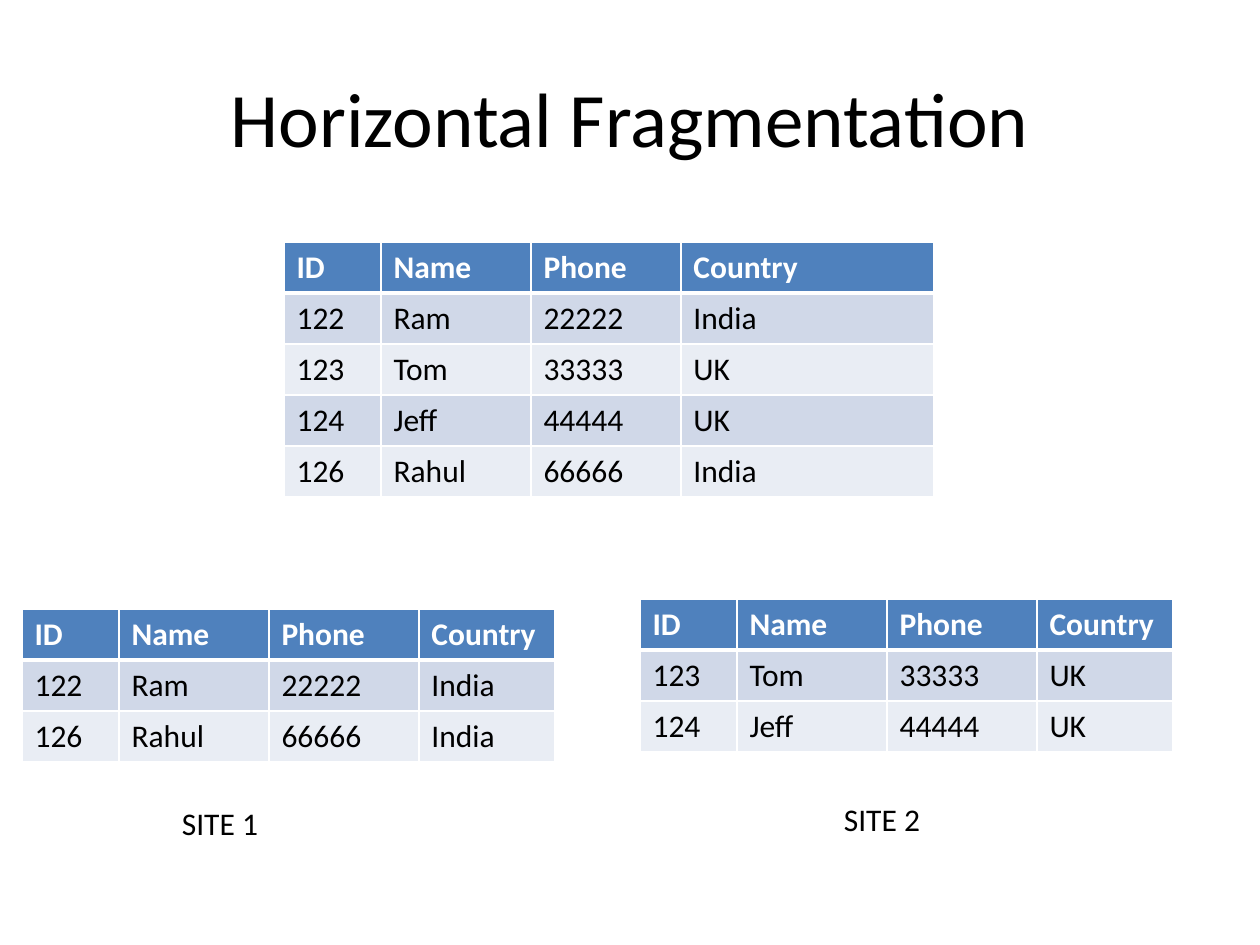
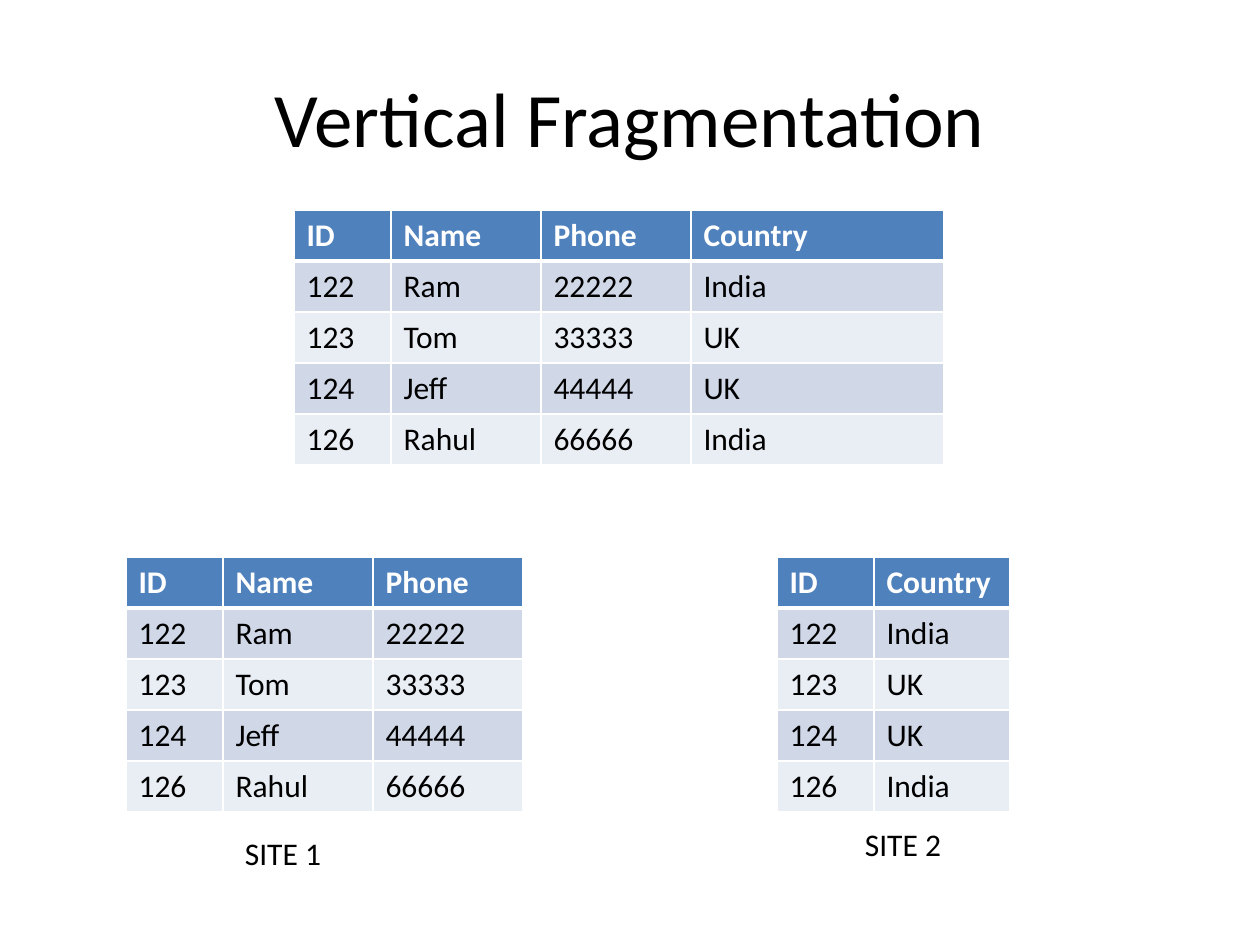
from lxml import etree
from pptx import Presentation
from pptx.dml.color import RGBColor
from pptx.enum.text import MSO_ANCHOR, PP_ALIGN
from pptx.oxml.ns import qn
from pptx.util import Emu, Pt

CENTER = PP_ALIGN.CENTER
LEFT = PP_ALIGN.LEFT
TOP = MSO_ANCHOR.TOP
MIDDLE = MSO_ANCHOR.MIDDLE

# Lengths are in px, 126 to the inch
SCALE = 914400 / 126
COLOURS = {
    "text": "000000",
    "header": "4F81BD",
    "header text": "FFFFFF",
    "odd row": "D0D8E8",
    "even row": "E9EDF4",
    "border": "FFFFFF",
}
TITLE_FORMAT = {"name": "Calibri", "size": Pt(44), "bold": False}
BODY_FORMAT = {"name": "Calibri", "size": Pt(18), "bold": False}
HEADER_FORMAT = {**BODY_FORMAT, "bold": True}

# Shared geometry
TITLE_AREA = (63, 38, 1134, 158)
LABEL_SIZE = (294, 50)
ROW_HEIGHT = 51
COLUMN_WIDTHS = {"ID": 97, "Name": 150, "Phone": 150, "Country": 136}
WIDE_COUNTRY = 253
THIN, THICK = Pt(1), Pt(3)

# The relation that both slides split up
FIELDS = ["ID", "Name", "Phone", "Country"]
PEOPLE = [
    dict(zip(FIELDS, values))
    for values in (
        ("122", "Ram", "22222", "India"),
        ("123", "Tom", "33333", "UK"),
        ("124", "Jeff", "44444", "UK"),
        ("126", "Rahul", "66666", "India"),
    )
]
IN_INDIA = [person for person in PEOPLE if person["Country"] == "India"]
IN_UK = [person for person in PEOPLE if person["Country"] == "UK"]

# Each fragment: table position, fields, records, label position
SLIDES = [
    {
        "title": "Horizontal Fragmentation",
        "relation": (284, 242),
        "fragments": [
            ((22, 609), FIELDS, IN_INDIA, (73, 798)),
            ((640, 599), FIELDS, IN_UK, (735, 794)),
        ],
    },
    {
        "title": "Vertical Fragmentation",
        "relation": (294, 210),
        "fragments": [
            ((126, 557), ["ID", "Name", "Phone"], PEOPLE, (136, 828)),
            ((777, 557), ["ID", "Country"], PEOPLE, (756, 819)),
        ],
    },
]


def px(*lengths):
    return [Emu(round(length * SCALE)) for length in lengths]


def write(frame, text, style, colour, align=LEFT, anchor=TOP):
    frame.word_wrap = True
    frame.vertical_anchor = anchor
    para = frame.paragraphs[0]
    para.alignment = align
    span = para.add_run()
    span.text = text
    for name, value in style.items():
        setattr(span.font, name, value)
    span.font.color.rgb = RGBColor.from_string(COLOURS[colour])


deck = Presentation()
deck.slide_width, deck.slide_height = px(1260, 945)

for content in SLIDES:
    page = deck.slides.add_slide(deck.slide_layouts[6])

    # Title
    box = page.shapes.add_textbox(*px(*TITLE_AREA))
    write(box.text_frame, content["title"], TITLE_FORMAT, "text", CENTER, MIDDLE)

    # The whole relation has a wide last column, its fragments a narrow one
    tables = [(content["relation"], FIELDS, PEOPLE,
               {**COLUMN_WIDTHS, "Country": WIDE_COUNTRY})]
    for position, fields, people, _ in content["fragments"]:
        tables.append((position, fields, people, COLUMN_WIDTHS))

    for position, fields, people, widths in tables:
        rows = [fields] + [[person[field] for field in fields] for person in people]
        size = (sum(widths[field] for field in fields), ROW_HEIGHT * len(rows))
        table = page.shapes.add_table(
            len(rows), len(fields), *px(*position, *size)).table
        table.horz_banding = False
        for column, field in zip(table.columns, fields):
            column.width = px(widths[field])[0]

        for row_number, row in enumerate(rows):
            table.rows[row_number].height = px(ROW_HEIGHT)[0]
            if row_number == 0:
                style, fill, colour = HEADER_FORMAT, "header", "header text"
            else:
                style, colour = BODY_FORMAT, "text"
                fill = "odd row" if row_number % 2 else "even row"

            # A thick rule parts the header from the records
            borders = {
                "a:lnL": THIN,
                "a:lnR": THIN,
                "a:lnT": THICK if row_number == 1 else THIN,
                "a:lnB": THICK if row_number == 0 else THIN,
            }
            for column_number, text in enumerate(row):
                cell = table.cell(row_number, column_number)
                write(cell.text_frame, text, style, colour)
                properties = cell._tc.get_or_add_tcPr()
                for side, width in borders.items():
                    line = etree.SubElement(properties, qn(side), w=str(width))
                    solid = etree.SubElement(line, qn("a:solidFill"))
                    etree.SubElement(solid, qn("a:srgbClr"), val=COLOURS["border"])
                cell.fill.solid()
                cell.fill.fore_color.rgb = RGBColor.from_string(COLOURS[fill])

    # Site labels below the fragments
    for number, fragment in enumerate(content["fragments"], start=1):
        box = page.shapes.add_textbox(*px(*fragment[3], *LABEL_SIZE))
        write(box.text_frame, f"SITE {number}", BODY_FORMAT, "text", CENTER)

deck.save("out.pptx")
